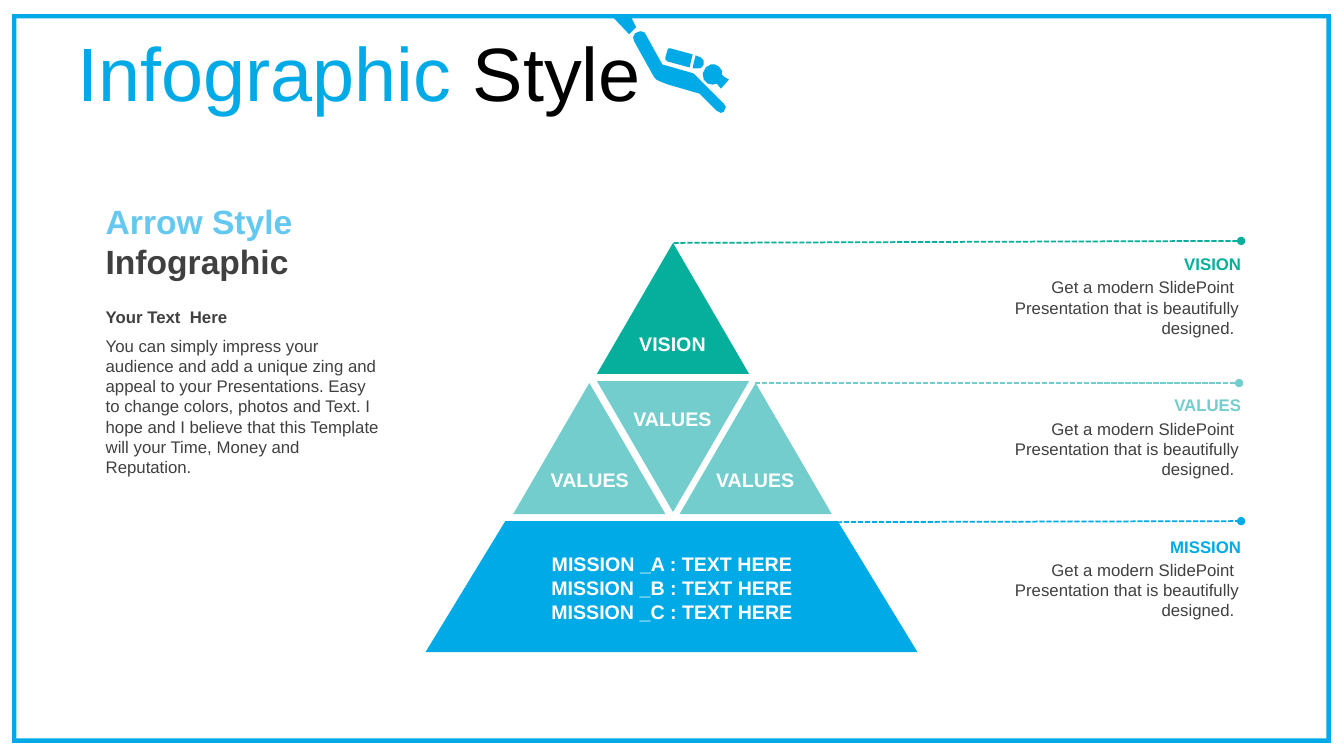
from dataclasses import dataclass

from lxml import etree
from pptx import Presentation
from pptx.dml.color import RGBColor
from pptx.enum.dml import MSO_LINE
from pptx.enum.shapes import MSO_CONNECTOR, MSO_SHAPE as Shp
from pptx.enum.text import MSO_ANCHOR, MSO_AUTO_SIZE as Fit, PP_ALIGN as Al
from pptx.oxml.ns import qn
from pptx.util import Inches, Pt

BLUE, GREEN, TEAL = "00AAE6", "05AF9B", "73CDCD"
SKY, GREY, WHITE, BLACK = "64C8F0", "404040", "FFFFFF", "000000"
PITCH = "Get a modern SlidePoint  Presentation that is beautifully designed. "
ABOUT = ("You can simply impress your audience and add a unique zing and appeal to your "
         "Presentations. Easy to change colors, photos and Text. I hope and I believe that "
         "this Template will your Time, Money and Reputation.")


@dataclass
class Block:
    kind: Shp
    x: float
    y: float
    w: float
    color: str
    rotation: int = 0


@dataclass
class Callout:
    title: str
    color: str
    start: tuple[float, float]
    end: tuple[float, float]


@dataclass
class Label:
    text: str
    x: float
    y: float
    w: float = 1.1
    h: float = 0.24


BLOCKS = [
    Block(Shp.ISOSCELES_TRIANGLE, 5.92, 2.41, 1.51, GREEN),
    Block(Shp.ISOSCELES_TRIANGLE, 5.92, 3.78, 1.51, TEAL, 180),
    Block(Shp.ISOSCELES_TRIANGLE, 6.74, 3.8, 1.51, TEAL),
    Block(Shp.ISOSCELES_TRIANGLE, 5.09, 3.8, 1.51, TEAL),
    Block(Shp.TRAPEZOID, 4.22, 5.17, 4.88, BLUE),
]
CALLOUTS = [
    Callout("VISION", GREEN, (6.68, 2.41), (12.31, 2.39)),
    Callout("VALUES", TEAL, (7.49, 3.8), (12.29, 3.8)),
    Callout("MISSION", BLUE, (8.3, 5.18), (12.31, 5.17)),
]
LABELS = [
    Label("VISION", 6.12, 3.29),
    Label("VALUES", 6.12, 4.04),
    Label("VALUES", 6.94, 4.64),
    Label("VALUES", 5.3, 4.64),
    Label("\n".join(f"MISSION _{c} : TEXT HERE" for c in "ABC"), 5.09, 5.48, 3.15, 0.71),
]
# Diver outlines in hundredths of an inch
DIVER = [
    # head and mask
    [(705, 64), (709, 64), (713, 66), (716, 70), (716, 74), (718, 76), (723, 79), (715, 88),
     (711, 83), (707, 84), (702, 83), (698, 79), (697, 73), (700, 67)],
    # tank valve
    [(690, 55), (695, 57), (698, 60), (698, 64), (696, 67), (693, 68), (687, 68), (688, 63)],
    # tank
    [(665, 48), (687, 54), (684, 67), (662, 61), (660, 59), (660, 57), (662, 50), (663, 48)],
    # body
    [(635, 31), (639, 32), (641, 35), (647, 46), (657, 64), (685, 72), (688, 73), (691, 76),
     (718, 103), (720, 106), (719, 108), (718, 111), (715, 112), (711, 110), (694, 93),
     (663, 84), (655, 81), (651, 79), (649, 77), (629, 41), (628, 37), (630, 33)],
    # fin
    [(606, 15), (625, 15), (631, 27), (624, 34)],
]


def rgb(color: str) -> RGBColor:
    return RGBColor.from_string(color)


def style(r, size: float, color: str, bold: bool = False) -> None:
    r.font.name, r.font.size, r.font.bold = "Arial", Pt(size), bold
    r.font.color.rgb = rgb(color)


def paint(sp, color: str) -> None:
    sp.shadow.inherit = False
    sp.fill.solid()
    sp.fill.fore_color.rgb = rgb(color)
    sp.line.fill.background()


def add_shape(s, kind: Shp, x: float, y: float, w: float, h: float, color: str):
    sp = s.shapes.add_shape(kind, Inches(x), Inches(y), Inches(w), Inches(h))
    paint(sp, color)
    return sp


def add_text(s, text: str, x: float, y: float, w: float, h: float, size: float, color: str,
             bold: bool = False, align: Al = Al.LEFT, inset: bool = False):
    tf = s.shapes.add_textbox(Inches(x), Inches(y), Inches(w), Inches(h)).text_frame
    tf.word_wrap, tf.auto_size = True, Fit.SHAPE_TO_FIT_TEXT
    if not inset:
        tf.margin_left = tf.margin_right = tf.margin_top = tf.margin_bottom = 0
    tf.text = text
    for p in tf.paragraphs:
        p.alignment = align
        for r in p.runs:
            style(r, size, color, bold)
    return tf


def add_second_run(p, text: str, size: float, color: str, bold: bool = False) -> None:
    r = p.add_run()
    r.text = text
    style(r, size, color, bold)


def add_leader(s, c: Callout) -> None:
    ends = [Inches(v) for v in (*c.start, *c.end)]
    ln = s.shapes.add_connector(MSO_CONNECTOR.STRAIGHT, *ends)
    ln.line.color.rgb = rgb(c.color)
    ln.line.width = Pt(1.25)
    ln.line.dash_style = MSO_LINE.SQUARE_DOT
    props = ln.line.color and ln.element.spPr
    etree.SubElement(props.find(qn("a:ln")), qn("a:tailEnd"), type="oval")
    etree.SubElement(props, qn("a:effectLst"))


def add_diver(s) -> None:
    first, *others = DIVER
    fb = s.shapes.build_freeform(*first[0], scale=Inches(0.01))
    fb.add_line_segments(first[1:])
    for outline in others:
        fb.move_to(*outline[0])
        fb.add_line_segments(outline[1:])
    paint(fb.convert_to_shape(), BLUE)


def add_title(s) -> None:
    sp = s.shapes.title
    sp.left, sp.top, sp.width, sp.height = (Inches(v) for v in (0.67, 0.37, 12.24, 0.79))
    tf = sp.text_frame
    tf.word_wrap, tf.auto_size = True, Fit.NONE
    tf.vertical_anchor = MSO_ANCHOR.MIDDLE
    tf.text = "Infographic"
    p = tf.paragraphs[0]
    p.alignment, p.line_spacing = Al.LEFT, 0.9
    style(p.runs[0], 54, BLUE)
    add_second_run(p, " Style", 54, BLACK)


def main() -> None:
    prs = Presentation()
    prs.slide_width, prs.slide_height = Inches(13.33), Inches(7.5)
    s = prs.slides.add_slide(prs.slide_layouts[5])

    # Border, title and diver
    add_shape(s, Shp.FRAME, 0.12, 0.14, 13.08, 7.23, BLUE).adjustments[0] = 0.006
    add_title(s)
    add_diver(s)

    # Pyramid
    for b in BLOCKS:
        sp = add_shape(s, b.kind, b.x, b.y, b.w, 1.3, b.color)
        sp.rotation = b.rotation
        if b.kind == Shp.TRAPEZOID:
            sp.adjustments[0] = 0.609

    # Callouts on the right
    for i, c in enumerate(CALLOUTS):
        add_leader(s, c)
        top = 2.52 + 1.4 * i
        add_text(s, PITCH, 9.93, top + 0.23, 2.36, 0.61, 12, GREY, align=Al.RIGHT)
        add_text(s, c.title, 9.46, top, 2.85, 0.2, 12, c.color, True, Al.RIGHT)

    # Pyramid labels
    for lb in LABELS:
        add_text(s, lb.text, lb.x, lb.y, lb.w, lb.h, 14, WHITE, True, Al.CENTER)

    # Introduction on the left
    add_text(s, "Your Text  Here", 0.95, 2.99, 2.96, 0.3, 12, GREY, True, inset=True)
    add_text(s, ABOUT, 0.95, 3.28, 2.96, 1.51, 12, GREY, inset=True)
    tf = add_text(s, "Arrow Style ", 0.95, 1.94, 2.76, 0.91, 24, SKY, True, inset=True)
    add_second_run(tf.paragraphs[0], "Infographic", 24, GREY, True)

    prs.save("out.pptx")


if __name__ == "__main__":
    main()
